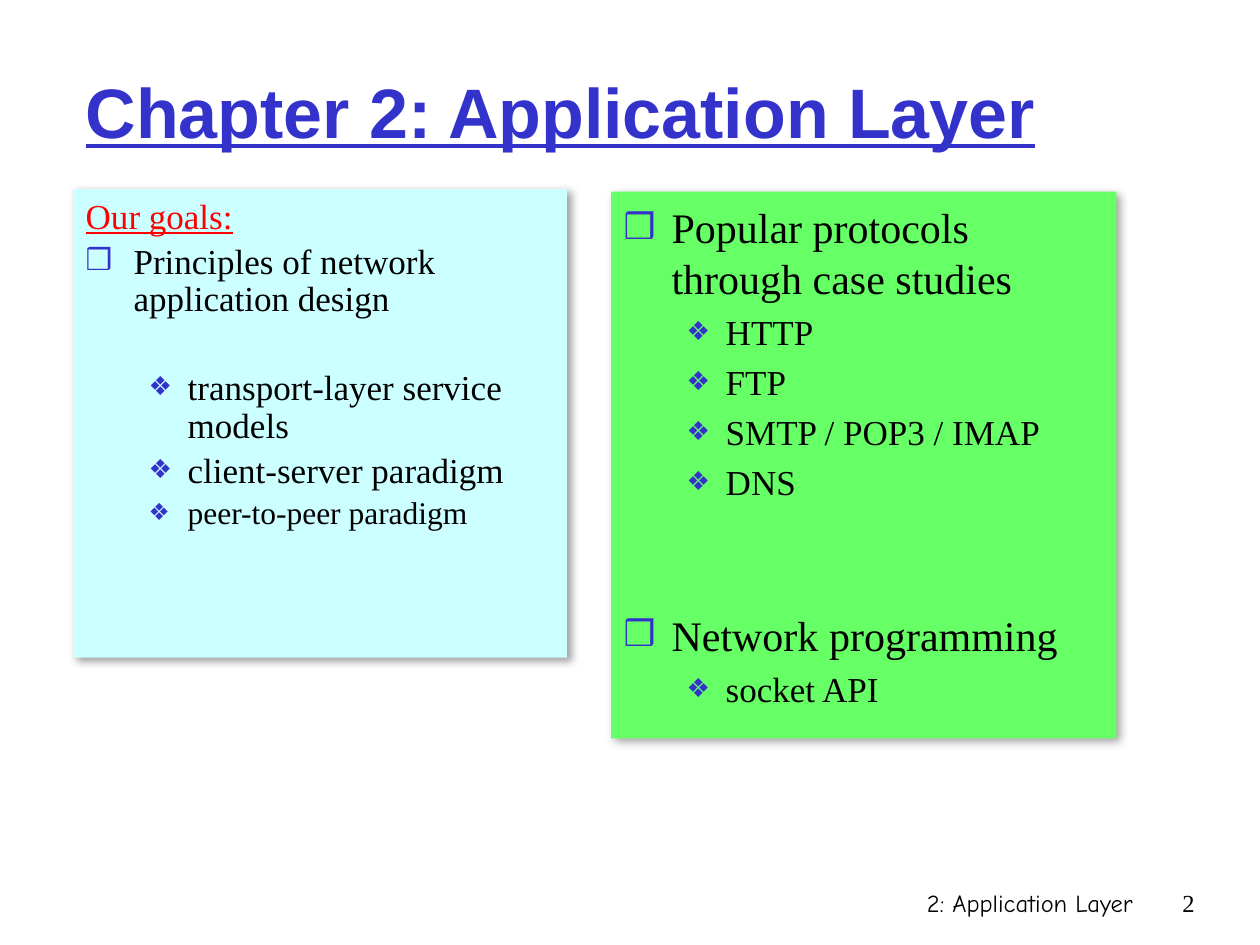
from lxml import etree
from pptx import Presentation
from pptx.dml.color import RGBColor
from pptx.enum.text import MSO_ANCHOR, MSO_AUTO_SIZE, PP_ALIGN
from pptx.oxml.ns import qn
from pptx.util import Inches, Pt

COLORS = {
    "accent": "3333CC", "heading": "FF0000", "text": "000000",
    "goals": "CCFFFF", "topics": "66FF66", "shadow": "808080",
}
SERIF = "Times New Roman"
TITLE = "Chapter 2: Application Layer"

PANELS = [
    {
        "box": (0.58, 1.5, 3.92, 3.72), "fill": "goals", "line_spacing": 0.9,
        "items": [
            ("heading", "Our goals:", 20, 0),
            ("topic", "Principles of network application design", 20, 4),
            ("detail", "transport-layer service models", 20, 29),
            ("detail", "client-server paradigm", 20, 4),
            ("detail", "peer-to-peer paradigm", 18, 4),
        ],
    },
    {
        "box": (4.85, 1.52, 4.01, 4.34), "fill": "topics", "line_spacing": 1.0,
        "items": [
            ("topic", "Popular protocols through case studies", 24, 0),
            ("detail", "HTTP", 20, 4.6),
            ("detail", "FTP", 20, 4.6),
            ("detail", "SMTP / POP3 / IMAP", 20, 4.6),
            ("detail", "DNS", 20, 4.6),
            ("topic", "Network programming", 24, 61),
            ("detail", "socket API", 20, 4.6),
        ],
    },
]
STYLES = {
    "heading": {"level": 0, "left": 0.38, "hang": 0.38, "bullet": None},
    "topic": {"level": 0, "left": 0.38, "hang": 0.38, "bullet": ("❒", 85)},
    "detail": {"level": 1, "left": 0.81, "hang": 0.31, "bullet": ("❖", 75)},
}
FOOTERS = [
    ((5.92, 7, 3.17, 0.5), "2: Application Layer", "Comic Neue"),
    ((9.08, 7, 0.5, 0.5), "2", SERIF),
]


def place(part, box):
    part.left, part.top, part.width, part.height = map(Inches, box)


def add_run(paragraph, text, size, face, color):
    run = paragraph.add_run()
    run.text = text
    run.font.size = Pt(size)
    run.font.name = face
    run.font.color.rgb = RGBColor.from_string(COLORS[color])
    return run


def add_child(parent, tag, **attributes):
    child = etree.SubElement(parent, qn(tag))
    for key, value in attributes.items():
        child.set(key, str(value))
    return child


def set_bullet(paragraph, style):
    props = paragraph._p.get_or_add_pPr()
    props.set("marL", str(Inches(style["left"])))
    props.set("indent", str(-Inches(style["hang"])))
    if style["bullet"] is None:
        add_child(props, "a:buNone")
        return
    mark, percent = style["bullet"]
    add_child(add_child(props, "a:buClr"), "a:srgbClr", val=COLORS["accent"])
    add_child(props, "a:buSzPct", val=percent * 1000)
    add_child(props, "a:buChar", char=mark)


def add_shadow(panel):
    effects = add_child(panel._element.spPr, "a:effectLst")
    shadow = add_child(effects, "a:outerShdw", blurRad=Pt(5), dist=Pt(3),
                       dir=45 * 60000, algn="tl", rotWithShape=0)
    color = add_child(shadow, "a:srgbClr", val=COLORS["shadow"])
    add_child(color, "a:alpha", val=75000)


def fill_panel(panel, content):
    place(panel, content["box"])
    panel.fill.solid()
    panel.fill.fore_color.rgb = RGBColor.from_string(COLORS[content["fill"]])
    add_shadow(panel)
    frame = panel.text_frame
    frame.word_wrap = True
    frame.auto_size = MSO_AUTO_SIZE.NONE
    frame.vertical_anchor = MSO_ANCHOR.TOP
    frame.margin_top = Inches(0.08)
    for index, (kind, text, size, before) in enumerate(content["items"]):
        paragraph = frame.add_paragraph() if index else frame.paragraphs[0]
        paragraph.level = STYLES[kind]["level"]
        set_bullet(paragraph, STYLES[kind])
        paragraph.line_spacing = content["line_spacing"]
        paragraph.space_before = Pt(before)
        is_heading = kind == "heading"
        run = add_run(paragraph, text, size, SERIF,
                      "heading" if is_heading else "text")
        run.font.underline = is_heading


def main():
    deck = Presentation()
    deck.slide_width, deck.slide_height = Inches(10), Inches(7.5)
    slide = deck.slides.add_slide(deck.slide_layouts[3])

    title = slide.shapes.title
    place(title, (0.58, 0.25, 8.5, 1.25))
    title.text_frame.auto_size = MSO_AUTO_SIZE.NONE
    title.text_frame.vertical_anchor = MSO_ANCHOR.MIDDLE
    heading = title.text_frame.paragraphs[0]
    heading.alignment = PP_ALIGN.LEFT
    title_run = add_run(heading, TITLE, 40, "Arial", "accent")
    title_run.font.bold = title_run.font.underline = True

    for index, content in enumerate(PANELS, start=1):
        fill_panel(slide.placeholders[index], content)

    for box, text, face in FOOTERS:
        footer = slide.shapes.add_textbox(*map(Inches, box))
        footer.text_frame.word_wrap = True
        line = footer.text_frame.paragraphs[0]
        line.alignment = PP_ALIGN.RIGHT
        add_run(line, text, 14, face, "text")

    deck.save("out.pptx")


if __name__ == "__main__":
    main()
